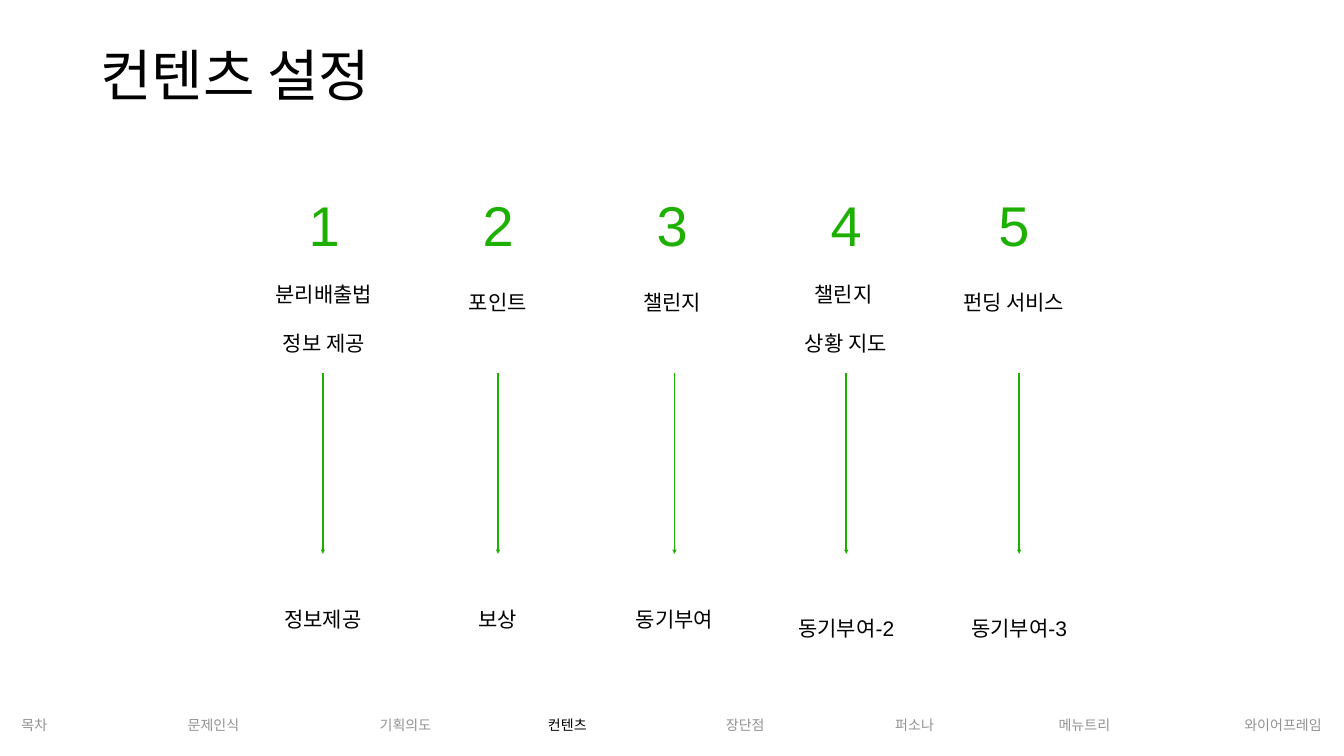
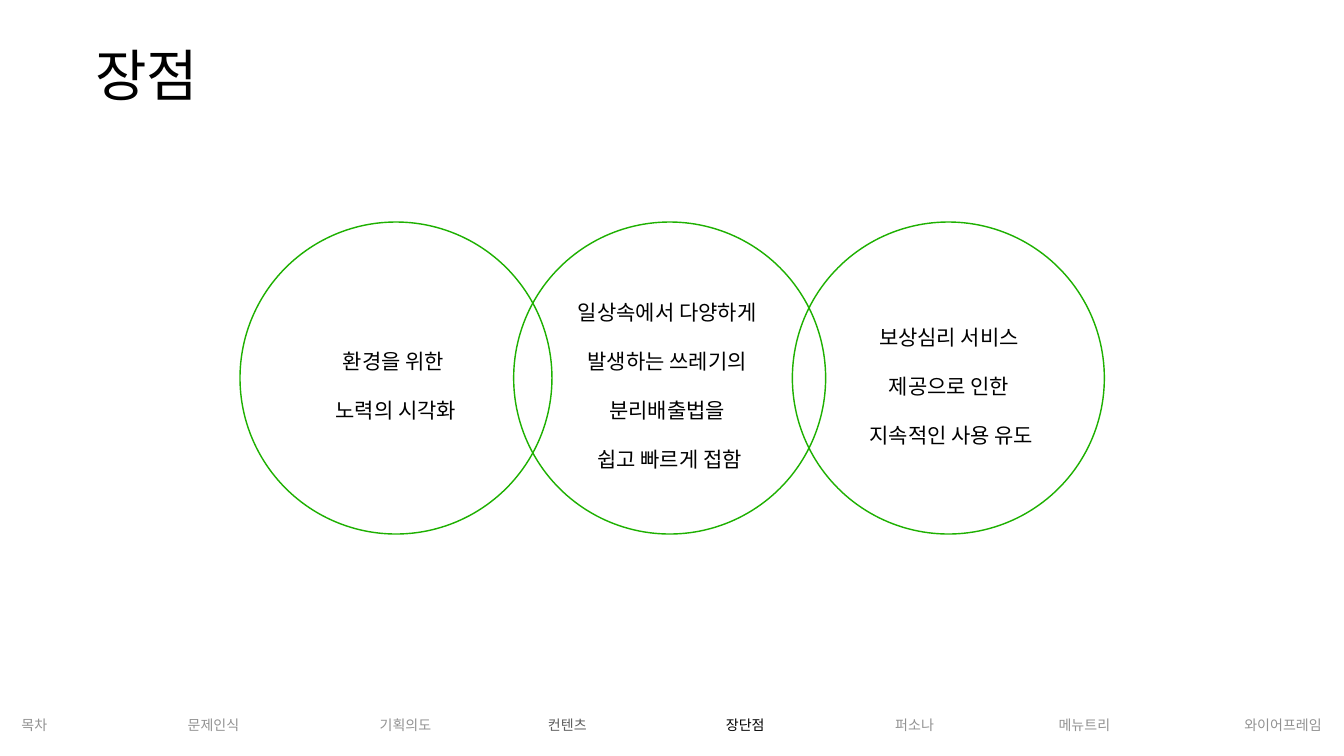
from lxml import etree
from pptx import Presentation
from pptx.dml.color import RGBColor
from pptx.enum.shapes import MSO_CONNECTOR, MSO_SHAPE
from pptx.enum.text import MSO_ANCHOR, MSO_AUTO_SIZE, PP_ALIGN
from pptx.oxml.ns import qn
from pptx.util import Inches, Pt

STRAIGHT = MSO_CONNECTOR.STRAIGHT
OVAL = MSO_SHAPE.OVAL
TOP, MIDDLE = MSO_ANCHOR.TOP, MSO_ANCHOR.MIDDLE
FIT_SHAPE = MSO_AUTO_SIZE.SHAPE_TO_FIT_TEXT
CENTER = PP_ALIGN.CENTER

# Grid of 80 columns by 45 rows
WIDTH, HEIGHT = Inches(26.67), Inches(15)
COLUMN, ROW = WIDTH / 80, HEIGHT / 45
INSET = Inches(0.06)

COLORS = {"ink": "000000", "green": "1EB001", "muted": "929292", "visited": "5E5E5E"}
STYLES = {
    "title": {"size": 80, "font": "Lato"},
    "number": {"size": 80, "font": "Arial"},
    "body": {"size": 30, "font": "Arial", "line": 59, "before": 11},
    "footer": {"size": 20, "font": "Roboto", "line": 47},
}

# Footer sections and their centres in columns
SECTIONS = {
    "목차": 2.04, "문제인식": 12.71, "기획의도": 24.14, "컨텐츠": 33.77,
    "장단점": 44.36, "퍼소나": 54.44, "메뉴트리": 64.55, "와이어프레임": 76.37,
}

# Label centre, label lines, arrow centre, outcome, outcome anchor
STEPS = [
    (19.28, ["분리배출법", "정보 제공"], 19.22, "정보제공", MIDDLE),
    (29.64, ["포인트"], 29.64, "보상", MIDDLE),
    (40, ["챌린지"], 40.15, "동기부여", MIDDLE),
    (50.35, ["챌린지 ", "상황 지도"], 50.37, "동기부여-2", TOP),
    (60.34, ["펀딩 서비스"], 60.66, "동기부여-3", TOP),
]

# Circle centre, text centre, text lines
BENEFITS = [
    (23.57, 23.57, ["환경을 위한 ", "노력의 시각화"]),
    (39.86, 39.86, ["일상속에서 다양하게 ", "발생하는 쓰레기의 ", "분리배출법을 ",
                    "쉽고 빠르게 접함"]),
    (56.45, 56.63, ["보상심리 서비스 ", "제공으로 인한 ", "지속적인 사용 유도"]),
]


def color(name):
    return RGBColor.from_string(COLORS[name])


def text_width(lines, size):
    """Width of the longest line, judged by the kind of each character."""
    def ems(line):
        return sum(0.3 if c == " " else 0.57 if c.isascii() else 1 for c in line)
    return Inches(max(map(ems, lines)) * size / 75) + 2 * INSET


def text_height(lines, size):
    return Inches(size * (0.0155 + 0.0218 * (len(lines) - 1))) + 2 * INSET


class Deck:
    def __init__(self):
        self.presentation = Presentation()
        self.presentation.slide_width = WIDTH
        self.presentation.slide_height = HEIGHT
        self.slide = None

    def new_slide(self, title, current, visited=()):
        layout = self.presentation.slide_layouts[6]
        self.slide = self.presentation.slides.add_slide(layout)
        half_width = text_width([title], STYLES["title"]["size"]) / 2 / COLUMN
        self.text([title], 5.35 + half_width, 2.37, "title")
        for section, center in SECTIONS.items():
            tone = ("ink" if section == current
                    else "visited" if section in visited else "muted")
            self.text([section], center, 42.03, "footer", tone)

    def text(self, lines, center, row, style_name, tone="ink", anchor=MIDDLE,
             centered=False):
        """Place lines around a column, from a row down or centred on it."""
        style = STYLES[style_name]
        width = text_width(lines, style["size"])
        height = text_height(lines, style["size"])
        top = row * ROW - (height / 2 if centered else 0)
        box = self.slide.shapes.add_textbox(
            round(center * COLUMN - width / 2), round(top), width, height)
        frame = box.text_frame
        frame_format = {
            "margin_left": INSET, "margin_right": INSET,
            "margin_top": INSET, "margin_bottom": INSET,
            "word_wrap": False, "auto_size": FIT_SHAPE, "vertical_anchor": anchor,
        }
        for name, value in frame_format.items():
            setattr(frame, name, value)
        for index, line in enumerate(lines):
            paragraph = frame.add_paragraph() if index else frame.paragraphs[0]
            paragraph.alignment = CENTER
            if "line" in style:
                paragraph.line_spacing = Pt(style["line"])
            if index and "before" in style:
                paragraph.space_before = Pt(style["before"])
            run = paragraph.add_run()
            run.text = line
            run.font.name = style["font"]
            run.font.size = Pt(style["size"])
            run.font.color.rgb = color(tone)

    def outline(self, shape):
        shape.line.color.rgb = color("green")
        shape.line.width = Pt(2)

    def down_arrow(self, column, top, bottom):
        x = round(column * COLUMN)
        arrow = self.slide.shapes.add_connector(
            STRAIGHT, x, round(top * ROW), x, round(bottom * ROW))
        self.outline(arrow)
        etree.SubElement(arrow.line._get_or_add_ln(), qn("a:tailEnd"), type="triangle")
        etree.SubElement(arrow._element.spPr, qn("a:effectLst"))

    def circle(self, center, middle, diameter):
        size = round(diameter * COLUMN)
        shape = self.slide.shapes.add_shape(
            OVAL, round(center * COLUMN - size / 2), round(middle * ROW - size / 2),
            size, size)
        shape.shadow.inherit = False
        shape.fill.background()
        self.outline(shape)


def main():
    deck = Deck()

    # Content steps and what each leads to
    deck.new_slide("컨텐츠 설정", "컨텐츠")
    for number, (center, label, arrow, outcome, anchor) in enumerate(STEPS, 1):
        deck.text([str(number)], center, 11.28, "number", "green")
        deck.text(label, center, 16.65, "body")
        deck.down_arrow(arrow, 22.23, 32.97)
        deck.text([outcome], arrow, 35.49, "body", anchor=anchor)

    # Overlapping benefits
    deck.new_slide("장점", "장단점", visited=["컨텐츠"])
    for circle_center, text_center, lines in BENEFITS:
        deck.text(lines, text_center, 22.5, "body", centered=True)
        deck.circle(circle_center, 22.5, 18.57)

    deck.presentation.save("out.pptx")


if __name__ == "__main__":
    main()
